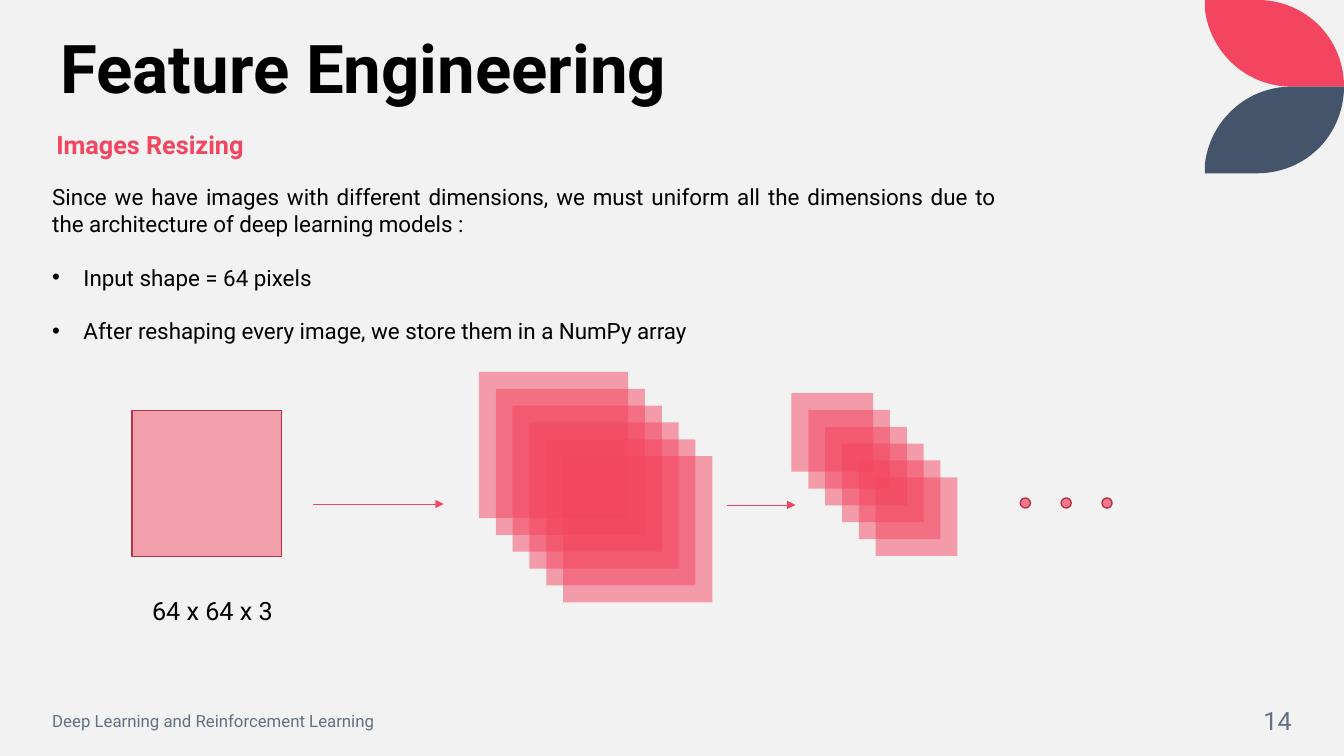
from lxml import etree
from pptx import Presentation
from pptx.dml.color import RGBColor
from pptx.enum.shapes import MSO_CONNECTOR, MSO_SHAPE
from pptx.enum.text import MSO_ANCHOR, PP_ALIGN
from pptx.oxml.ns import qn
from pptx.util import Inches, Pt

RED = RGBColor(0xF4, 0x45, 0x60)
DARK_RED = RGBColor(0xB5, 0x33, 0x47)
NAVY = RGBColor(0x44, 0x54, 0x6A)
GRAY = RGBColor(0x63, 0x71, 0x83)
BLACK = RGBColor(0, 0, 0)
PAPER = RGBColor(0xF2, 0xF2, 0xF2)
FONT = "Roboto"

TITLE = "Feature Engineering"
SUBTITLE = "Images Resizing"
INTRO = ("Since we have images with different dimensions, we must uniform all the "
         "dimensions due to the architecture of deep learning models :")
BULLETS = ["Input shape = 64 pixels",
           "After reshaping every image, we store them in a NumPy array"]
INPUT_LABEL = "64 x 64 x 3"
FOOTER = "Deep Learning and Reinforcement Learning"
PAGE = "14"

# left, top, width, height of the first layer in each stack
STACKS = [(4.75, 3.69, 1.48, 1.45), (7.85, 3.9, 0.81, 0.78)]
LAYERS, LAYER_STEP = 6, 0.167
ARROWS = [(3.1, 4.4, 5.0), (7.21, 7.89, 5.01)]  # from x, to x, y
DOTS, DOT_LEFT, DOT_TOP, DOT_SIZE, DOT_STEP = 3, 10.12, 4.94, 0.1, 0.405
LEAF_LEFT, LEAF_RIGHT, LEAF_HEIGHT = 11.95, 13.33, 0.86
LEAF_CURVES = [[(12.47, 0), (12.95, 0), (13.33, 0.38), (13.33, 0.86)],
               [(12.81, 0.86), (12.36, 0.86), (12, 0.52), (11.95, 0.09)]]


def bezier(points, steps=24):
    """Points along a cubic curve, both ends included."""
    for i in range(steps + 1):
        t = i / steps
        weights = ((1 - t) ** 3, 3 * t * (1 - t) ** 2, 3 * t * t * (1 - t), t ** 3)
        yield tuple(sum(w * p[axis] for w, p in zip(weights, points)) for axis in (0, 1))


def add_leaf(s, color, mirrored=False):
    outline = [(LEAF_LEFT, 0)] + [pt for curve in LEAF_CURVES for pt in bezier(curve)]
    if mirrored:
        outline = [(x, 2 * LEAF_HEIGHT - y) for x, y in outline]
    outline = [(Inches(x), Inches(y)) for x, y in outline]
    builder = s.shapes.build_freeform(*outline[0])
    builder.add_line_segments(outline[1:], close=True)
    leaf = builder.convert_to_shape()
    leaf.shadow.inherit = False
    leaf.fill.solid()
    leaf.fill.fore_color.rgb = color
    leaf.line.fill.background()


def add_text(s, box, paragraphs, size=18, color=BLACK, bold=False, align=PP_ALIGN.LEFT,
             anchor=MSO_ANCHOR.TOP, line_spacing=None, bulleted=(), gap=0):
    tf = s.shapes.add_textbox(*map(Inches, box)).text_frame
    tf.word_wrap = True
    tf.vertical_anchor = anchor
    for i, text in enumerate(paragraphs):
        p = tf.paragraphs[0] if i == 0 else tf.add_paragraph()
        p.alignment = align
        if line_spacing:
            p.line_spacing = line_spacing
        if i:
            p.space_before = Pt(gap)
        if i in bulleted:
            pPr = p._p.get_or_add_pPr()
            pPr.set("marL", str(Inches(0.31)))
            pPr.set("indent", str(-Inches(0.31)))
            etree.SubElement(pPr, qn("a:buFont")).set("typeface", "Arial")
            etree.SubElement(pPr, qn("a:buChar")).set("char", "•")
        r = p.add_run()
        r.text = text
        r.font.name, r.font.size, r.font.bold = FONT, Pt(size), bold
        r.font.color.rgb = color


def add_tinted(s, preset, box, opacity, outlined=False):
    """Red shape, see-through by the given opacity in percent."""
    sp = s.shapes.add_shape(preset, *map(Inches, box))
    sp.shadow.inherit = False
    sp.fill.solid()
    sp.fill.fore_color.rgb = RED
    rgb = sp.fill._xPr.find(qn("a:solidFill")).find(qn("a:srgbClr"))
    etree.SubElement(rgb, qn("a:alpha")).set("val", str(opacity * 1000))
    if outlined:
        sp.line.color.rgb = DARK_RED
        sp.line.width = Pt(1)
    else:
        sp.line.fill.background()


def add_arrow(s, x1, x2, y):
    arrow = s.shapes.add_connector(MSO_CONNECTOR.STRAIGHT, *map(Inches, (x1, y, x2, y)))
    arrow.line.color.rgb = RED
    arrow.line.width = Pt(0.5)
    etree.SubElement(arrow.line._get_or_add_ln(), qn("a:tailEnd")).set("type", "triangle")
    etree.SubElement(arrow._element.spPr, qn("a:effectLst"))


def main():
    prs = Presentation()
    prs.slide_width, prs.slide_height = Inches(13.33), Inches(7.5)
    s = prs.slides.add_slide(prs.slide_layouts[6])
    s.background.fill.solid()
    s.background.fill.fore_color.rgb = PAPER

    add_leaf(s, RED)
    add_leaf(s, NAVY, mirrored=True)

    add_text(s, (0.42, 6.95, 4.16, 0.4), [FOOTER], size=12, color=GRAY,
             anchor=MSO_ANCHOR.MIDDLE)
    add_text(s, (11.1, 6.95, 1.81, 0.4), [PAGE], color=GRAY, align=PP_ALIGN.RIGHT,
             anchor=MSO_ANCHOR.MIDDLE)
    add_text(s, (0.46, 1.27, 7.39, 0.37), [SUBTITLE], color=RED, bold=True, line_spacing=0.9)
    add_text(s, (0.5, 0.3, 8.49, 0.83), [TITLE], size=48, bold=True, line_spacing=0.9)
    add_text(s, (0.42, 1.77, 9.56, 2.26), [INTRO] + BULLETS, size=16,
             align=PP_ALIGN.JUSTIFY, bulleted=(1, 2), gap=19)
    add_text(s, (1.41, 5.86, 6.67, 0.4), [INPUT_LABEL])

    add_tinted(s, MSO_SHAPE.RECTANGLE, (1.31, 4.07, 1.48, 1.45), 48, outlined=True)
    for left, top, width, height in STACKS:
        for i in range(LAYERS):
            shift = i * LAYER_STEP
            add_tinted(s, MSO_SHAPE.RECTANGLE, (left + shift, top + shift, width, height), 50)
    for arrow in ARROWS:
        add_arrow(s, *arrow)
    for i in range(DOTS):
        add_tinted(s, MSO_SHAPE.OVAL,
                   (DOT_LEFT + i * DOT_STEP, DOT_TOP, DOT_SIZE, DOT_SIZE), 70, outlined=True)

    prs.save("out.pptx")


if __name__ == "__main__":
    main()
